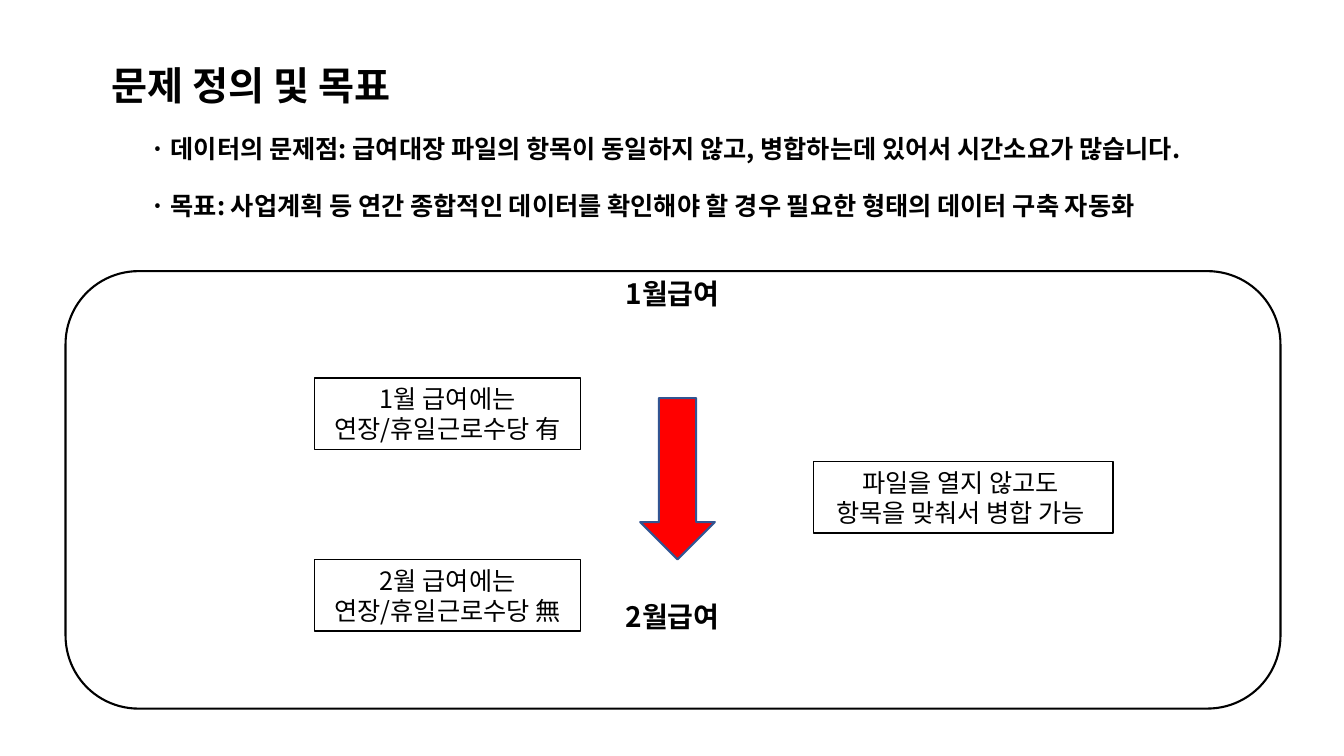
from dataclasses import dataclass

from lxml import etree
from pptx import Presentation
from pptx import util as u
from pptx.dml.color import RGBColor
from pptx.enum import shapes, text
from pptx.oxml import ns

PX = 9144  # EMU per px, at 100 px to the inch
FONT = "Noto Sans CJK KR"
COLORS = {"ink": "000000", "paper": "FFFFFF", "arrow": "FF0000", "arrow_edge": "325491"}
KIND = shapes.MSO_SHAPE
CENTER = text.PP_ALIGN.CENTER
LEFT = text.PP_ALIGN.LEFT


@dataclass
class Label:
    words: str
    left: int
    top: int
    width: int
    height: int
    size: int
    align: text.PP_ALIGN = LEFT


@dataclass
class Note:
    lines: list[str]
    left: int
    top: int
    width: int


NOTE_HEIGHT = 71
MONTH_LEFT, MONTH_WIDTH, MONTH_HEIGHT = 504, 326, 44
CASE_LEFT, CASE_WIDTH = 312, 264

LABELS = [
    Label("문제 정의 및 목표", 101, 56, 361, 57, 28),
    Label("· 데이터의 문제점: 급여대장 파일의 항목이 동일하지 않고, "
          "병합하는데 있어서 시간소요가 많습니다.", 139, 127, 1145, 40, 18),
    Label("· 목표: 사업계획 등 연간 종합적인 데이터를 확인해야 할 경우 "
          "필요한 형태의 데이터 구축 자동화", 139, 184, 1194, 40, 18),
    Label("1월급여", MONTH_LEFT, 269, MONTH_WIDTH, MONTH_HEIGHT, 20, CENTER),
    Label("2월급여", MONTH_LEFT, 590, MONTH_WIDTH, MONTH_HEIGHT, 20, CENTER),
]

NOTES = [
    Note(["1월 급여에는", "연장/휴일근로수당 有"], CASE_LEFT, 375, CASE_WIDTH),
    Note(["2월 급여에는", "연장/휴일근로수당 無"], CASE_LEFT, 555, CASE_WIDTH),
    Note(["파일을 열지 않고도 ", "항목을 맞춰서 병합 가능 "], 807, 458, 297),
]


def color(name: str) -> RGBColor:
    return RGBColor.from_string(COLORS[name])


def write(frame, lines: list[str], size: int, bold: bool, align: text.PP_ALIGN) -> None:
    frame.text = "\n".join(lines)
    frame.word_wrap = True
    frame.auto_size = text.MSO_AUTO_SIZE.SHAPE_TO_FIT_TEXT
    for para in frame.paragraphs:
        para.alignment = align
        for span in para.runs:
            span.font.size = u.Pt(size)
            span.font.bold = bold
            span.font.color.rgb = color("ink")
            span.font.name = FONT
            # Korean glyphs take their font from the East Asian slot
            east_asian = etree.SubElement(span._r.get_or_add_rPr(), ns.qn("a:ea"))
            east_asian.set("typeface", FONT)


def add_label(page, label: Label) -> None:
    box = page.shapes.add_textbox(label.left * PX, label.top * PX,
                                  label.width * PX, label.height * PX)
    write(box.text_frame, [label.words], label.size, True, label.align)


def add_outlined(page, kind: KIND, left: int, top: int, width: int, height: int,
                 fill: str | None, edge: str, weight: float):
    """Add a flat preset shape; it stays unfilled when fill is None."""
    shape = page.shapes.add_shape(kind, left * PX, top * PX, width * PX, height * PX)
    shape.shadow.inherit = False
    if fill is None:
        shape.fill.background()
    else:
        shape.fill.solid()
        shape.fill.fore_color.rgb = color(fill)
    shape.line.color.rgb = color(edge)
    shape.line.width = u.Pt(weight)
    return shape


def add_note(page, note: Note) -> None:
    box = add_outlined(page, KIND.RECTANGLE, note.left, note.top, note.width,
                       NOTE_HEIGHT, "paper", "ink", 1)
    write(box.text_frame, note.lines, 18, False, CENTER)


def main() -> None:
    deck = Presentation()
    deck.slide_width, deck.slide_height = u.Inches(13.33), u.Inches(7.5)
    page = deck.slides.add_slide(deck.slide_layouts[6])
    for label in LABELS:
        add_label(page, label)
    add_outlined(page, KIND.DOWN_ARROW, 635, 395, 74, 160, "arrow", "arrow_edge", 1.5)
    for note in NOTES:
        add_note(page, note)
    add_outlined(page, KIND.ROUNDED_RECTANGLE, 65, 269, 1205, 434, None, "ink", 1.5)
    deck.save("out.pptx")


if __name__ == "__main__":
    main()
